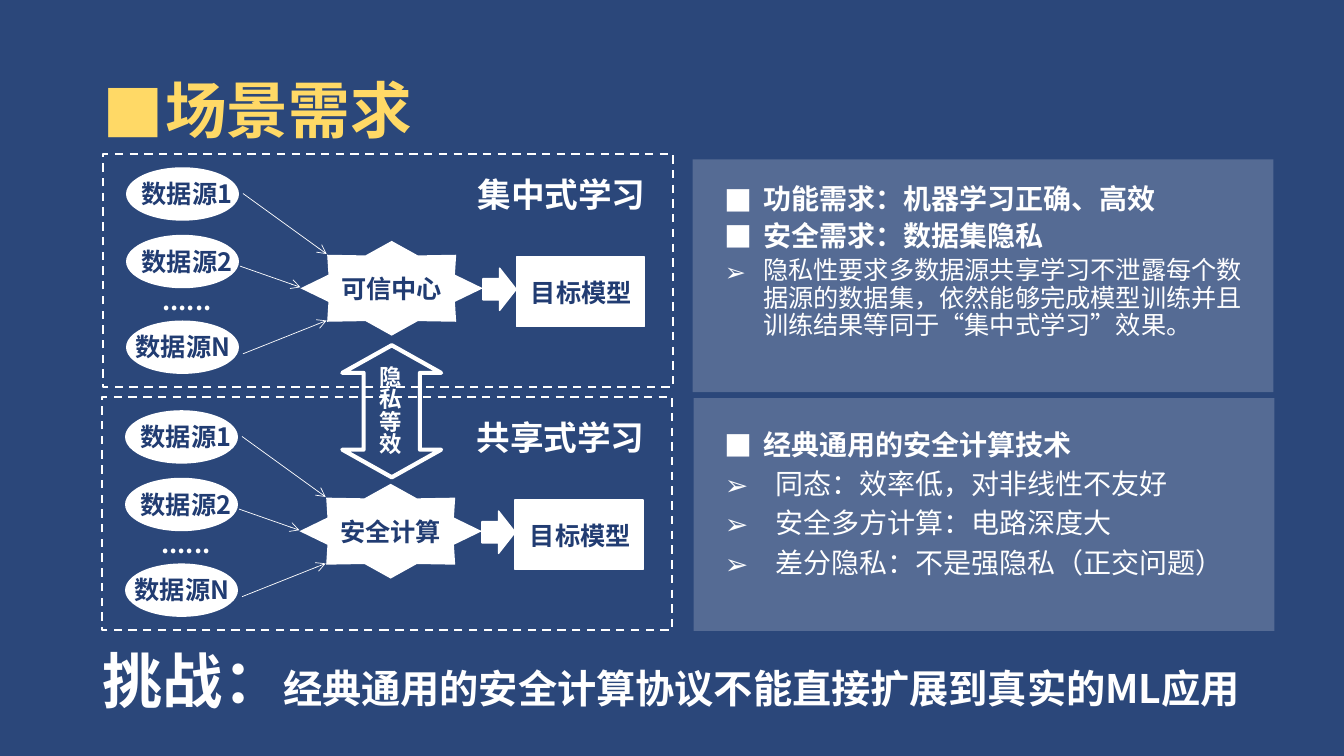
from lxml import etree
from pptx import Presentation
from pptx.dml.color import RGBColor
from pptx.enum.dml import MSO_LINE
from pptx.enum.shapes import MSO_CONNECTOR, MSO_SHAPE
from pptx.enum.text import MSO_ANCHOR, PP_ALIGN
from pptx.oxml.ns import qn
from pptx.util import Inches, Pt

FONT = "Noto Sans CJK SC"
BACK = RGBColor(0x2B, 0x47, 0x7A)
NAVY = RGBColor(0x21, 0x3C, 0x72)
WHITE = RGBColor(0xFF, 0xFF, 0xFF)
GOLD = RGBColor(0xFF, 0xD9, 0x66)


def add_shape(kind, x, y, w, h, filled=True, line=0):
    sp = s.shapes.add_shape(kind, Inches(x), Inches(y), Inches(w), Inches(h))
    sp.shadow.inherit = False
    if filled:
        sp.fill.solid()
        sp.fill.fore_color.rgb = WHITE
    else:
        sp.fill.background()
    if line:
        sp.line.color.rgb = WHITE
        sp.line.width = Pt(line)
    else:
        sp.line.fill.background()
    return sp


def write(sp, box, paras, color=WHITE, spacing=1.0, align=PP_ALIGN.CENTER, anchor=MSO_ANCHOR.MIDDLE):
    sp.left, sp.top, sp.width, sp.height = [Inches(v) for v in box]
    tf = sp.text_frame
    tf.word_wrap = True
    tf.vertical_anchor = anchor
    for i, (bullet, indent, runs) in enumerate(paras):
        p = tf.paragraphs[0] if i == 0 else tf.add_paragraph()
        p.alignment = align
        p.line_spacing = spacing
        p.space_before = Pt(2 if i else 0)
        p.space_after = Pt(2 if len(paras) > 1 else 0)
        if bullet:
            pPr = p._p.get_or_add_pPr()
            pPr.set("marL", str(Inches(indent)))
            pPr.set("indent", str(-Inches(indent)))
            etree.SubElement(pPr, qn("a:buFont")).set("typeface", FONT)
            etree.SubElement(pPr, qn("a:buChar")).set("char", bullet)
        for text, size, bold in runs:
            r = p.add_run()
            r.text = text
            r.font.size = Pt(size)
            r.font.bold = bold
            r.font.name = FONT
            r.font.color.rgb = color
            etree.SubElement(r._r.get_or_add_rPr(), qn("a:ea")).set("typeface", FONT)


prs = Presentation()
prs.slide_width, prs.slide_height = Inches(13.33), Inches(7.5)
s = prs.slides.add_slide(prs.slide_layouts[5])
s.background.fill.solid()
s.background.fill.fore_color.rgb = BACK

write(s.shapes.title, (0.92, 0.4, 9.93, 1.45), [("■", 0.62, [("场景需求", 44, True)])],
      GOLD, 0.9, PP_ALIGN.LEFT)

challenge = [("挑战：", 43, True), ("经典通用的安全计算协议不能直接扩展到真实的ML应用", 28, True)]
write(s.shapes.add_textbox(0, 0, 0, 0), (0.92, 6.12, 11.72, 0.88), [(None, 0, challenge)],
      spacing=1.5, align=PP_ALIGN.LEFT)

needs = [
    ("■", 0.38, [("功能需求：机器学习正确、高效", 20, True)]),
    ("■", 0.38, [("安全需求：数据集隐私", 20, True)]),
    ("➢", 0.38, [("隐私性要求多数据源共享学习不泄露每个数据源的数据集，依然能够完成模型训练并且"
                  "训练结果等同于“集中式学习”效果。", 18, False)]),
]
techniques = [
    ("■", 0.38, [("经典通用的安全计算技术", 20, True)]),
    ("➢", 0.5, [("同态：效率低，对非线性不友好", 20, False)]),
    ("➢", 0.5, [("安全多方计算：电路深度大", 20, False)]),
    ("➢", 0.5, [("差分隐私：不是强隐私（正交问题）", 20, False)]),
]
for x, y, text_y, paras, spacing in [(6.87, 1.58, 1.79, needs, 0.91), (6.88, 3.95, 4.19, techniques, 1.0)]:
    card = add_shape(MSO_SHAPE.RECTANGLE, x, y, 5.76, 2.31)
    color = card.fill._xPr.find(qn("a:solidFill"))[0]
    etree.SubElement(color, qn("a:alpha")).set("val", "20000")
    write(s.shapes.add_textbox(0, 0, 0, 0), (7.09, text_y, 5.35, 2.3), paras,
          spacing=spacing, align=PP_ALIGN.LEFT, anchor=MSO_ANCHOR.TOP)

for x, y, heading, center in [(1.02, 1.53, "集中式学习", "可信中心"), (1.01, 3.94, "共享式学习", "安全计算")]:
    frame = add_shape(MSO_SHAPE.RECTANGLE, x, y, 5.66, 2.31, False, 1.5)
    frame.line.dash_style = MSO_LINE.DASH
    add_shape(MSO_SHAPE.STAR_8_POINT, x + 1.96, y + 0.86, 1.81, 0.94)
    for dy in (0.13, 0.8, 1.65):
        add_shape(MSO_SHAPE.OVAL, x + 0.23, y + dy, 1.12, 0.53)
    add_shape(MSO_SHAPE.RIGHT_ARROW, x + 3.77, y + 1.13, 0.33, 0.42, line=1)
    add_shape(MSO_SHAPE.RECTANGLE, x + 4.1, y + 1.02, 1.27, 0.69, line=1)
    for x1, y1, x2, y2 in [(1.39, 0.39, 2.22, 0.99), (1.36, 1.11, 1.96, 1.32), (1.39, 1.98, 2.22, 1.65)]:
        c = s.shapes.add_connector(MSO_CONNECTOR.STRAIGHT, Inches(x + x1), Inches(y + y1),
                                   Inches(x + x2), Inches(y + y2))
        c.line.color.rgb = WHITE
        c.line.width = Pt(0.5)
        etree.SubElement(c.line._get_or_add_ln(), qn("a:tailEnd")).set("type", "arrow")
        etree.SubElement(c._element.spPr, qn("a:effectLst"))
    for dx, dy, w, h, text, size, color in [
        (3.6, 0.15, 1.9, 0.5, heading, 24, WHITE),
        (0, 0.19, 1.67, 0.4, "数据源1", 18, NAVY),
        (0, 0.86, 1.67, 0.4, "数据源2", 18, NAVY),
        (-0.04, 1.71, 1.67, 0.4, "数据源N", 18, NAVY),
        (0, 1.25, 1.67, 0.4, "......", 18, WHITE),
        (2.22, 1.13, 1.29, 0.4, center, 18, NAVY),
        (4.1, 1.17, 1.29, 0.4, "目标模型", 18, NAVY),
    ]:
        write(s.shapes.add_textbox(0, 0, 0, 0), (x + dx, y + dy, w, h), [(None, 0, [(text, size, True)])], color)

arrow = add_shape(MSO_SHAPE.LEFT_RIGHT_ARROW, 3.23, 3.59, 1.31, 0.98, False, 3)
arrow.rotation = 90
arrow.adjustments[0], arrow.adjustments[1] = 0.57, 0.28
write(s.shapes.add_textbox(0, 0, 0, 0), (3.59, 3.5, 0.57, 1.18),
      [(None, 0, [("隐私等效", 16, True)])], spacing=0.83)

prs.save("out.pptx")
